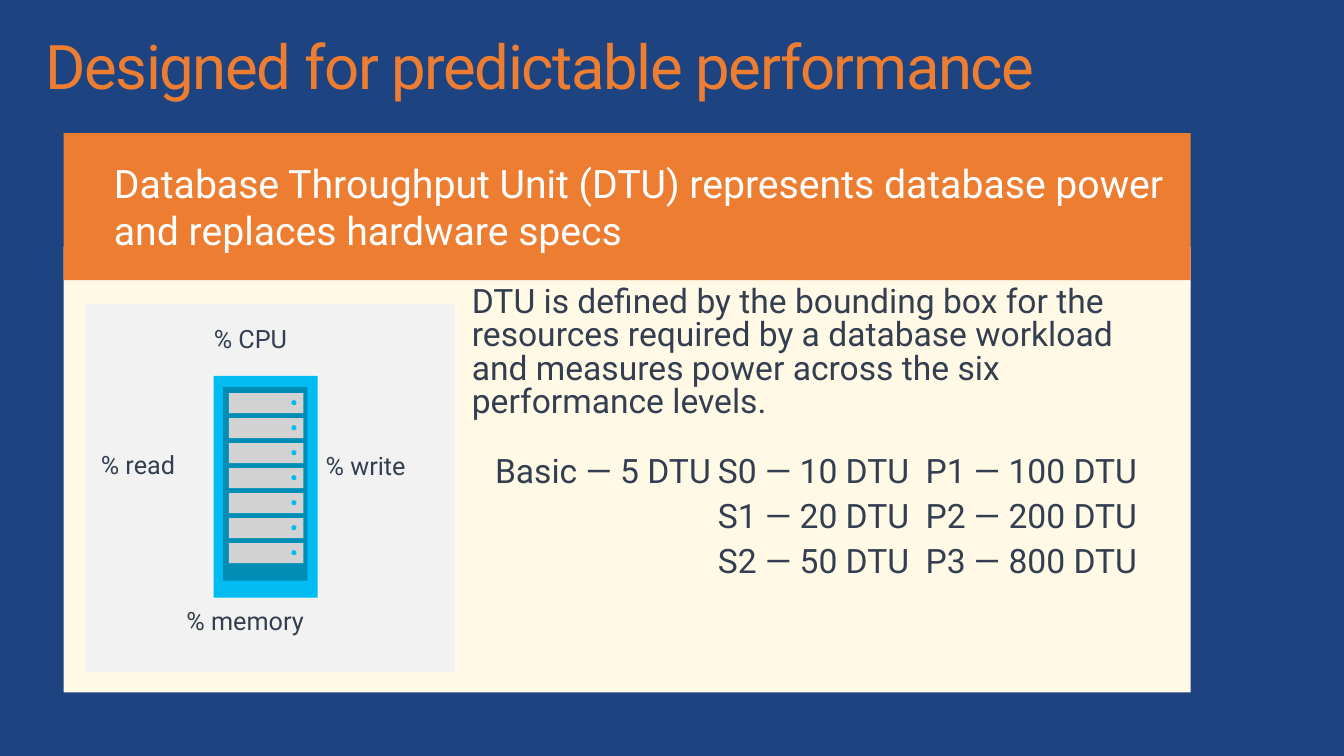
from pptx import Presentation
from pptx.dml.color import RGBColor
from pptx.enum.shapes import MSO_SHAPE
from pptx.enum.text import MSO_ANCHOR, PP_ALIGN
from pptx.util import Inches, Pt

RECTANGLE, OVAL = MSO_SHAPE.RECTANGLE, MSO_SHAPE.OVAL
MIDDLE, LEFT = MSO_ANCHOR.MIDDLE, PP_ALIGN.LEFT
NAVY = RGBColor(0x1D, 0x43, 0x80)
CREAM = RGBColor(0xFF, 0xF9, 0xE6)
ORANGE = RGBColor(0xED, 0x7D, 0x31)
WHITE = RGBColor(0xFF, 0xFF, 0xFF)
PALE_GREY = RGBColor(0xF2, 0xF2, 0xF2)
GREY = RGBColor(0xD2, 0xD2, 0xD2)
CYAN = RGBColor(0x00, 0xBC, 0xF2)
TEAL = RGBColor(0x00, 0x8D, 0xB5)
SLATE = RGBColor(0x33, 0x3F, 0x50)


def add_block(kind, left, top, width, height, color):
    block = page.shapes.add_shape(kind, Inches(left), Inches(top), Inches(width), Inches(height))
    block.shadow.inherit = False
    block.fill.solid()
    block.fill.fore_color.rgb = color
    block.line.fill.background()
    return block


def write(box, lines, size, color, insets, spacing=None, after=None):
    frame = box.text_frame
    frame.word_wrap = True
    frame.margin_left, frame.margin_top, frame.margin_right, frame.margin_bottom = map(Inches, insets)
    frame.text = "\n".join(lines)
    for para in frame.paragraphs:
        para.alignment = LEFT
        para.line_spacing = spacing
        para.space_after = after
        para.font.name = "Roboto"
        para.font.size = Pt(size)
        para.font.color.rgb = color
    return frame


deck = Presentation()
deck.slide_width, deck.slide_height = Inches(13.33), Inches(7.5)
page = deck.slides.add_slide(deck.slide_layouts[6])
page.background.fill.solid()
page.background.fill.fore_color.rgb = NAVY

add_block(RECTANGLE, 0.63, 2.45, 11.18, 4.42, CREAM)

title = page.shapes.add_textbox(Inches(0.29), Inches(0.05), Inches(12.75), Inches(0.98))
frame = write(title, ["Designed for predictable performance"], 44, ORANGE,
              (0.16, 0.1, 0.16, 0.1), Pt(61.8))
frame.paragraphs[0].runs[0].font._element.set("spc", "-100")

banner = add_block(RECTANGLE, 0.63, 1.32, 11.18, 1.46, ORANGE)
frame = write(banner, ["Database Throughput Unit (DTU) represents database power and replaces hardware specs"],
              28, WHITE, (0.5, 0.15, 0.2, 0.15))
frame.vertical_anchor = MIDDLE

add_block(RECTANGLE, 0.84, 3.02, 3.67, 3.65, PALE_GREY)
add_block(RECTANGLE, 2.12, 3.73, 1.03, 2.2, CYAN)
add_block(RECTANGLE, 2.21, 3.84, 0.84, 1.92, TEAL)
for drive in range(7):
    drive_top = 3.9 + drive * 0.248
    add_block(RECTANGLE, 2.27, drive_top, 0.74, 0.2, GREY)
    add_block(OVAL, 2.89, drive_top + 0.07, 0.05, 0.05, CYAN)

labels = [
    (1.92, 3.11, 1.42, 0.77, 18, ["% CPU"]),
    (0.8, 4.36, 1.44, 0.77, 18, ["% read"]),
    (3.03, 4.37, 1.49, 0.77, 18, ["% write"]),
    (1.65, 5.9, 1.97, 0.77, 18, ["% memory"]),
    (4.71, 4.35, 2.69, 0.69, 24, ["Basic — 5 DTU"]),
    (6.92, 4.35, 2.69, 1.58, 24, ["S0 — 10 DTU", "S1 — 20 DTU", "S2 — 50 DTU"]),
    (8.98, 4.35, 2.69, 1.58, 24, ["P1 — 100 DTU", "P2 — 200 DTU", "P3 — 800 DTU"]),
]
for left, top, width, height, size, lines in labels:
    label = page.shapes.add_textbox(Inches(left), Inches(top), Inches(width), Inches(height))
    write(label, lines, size, SLATE, (0.2, 0.16, 0.2, 0.16), 0.9, Pt(6))

definition = page.shapes.add_textbox(Inches(3.96), Inches(2.79), Inches(7.71), Inches(1.45))
write(definition, ["DTU is defined by the bounding box for the resources required by a database workload "
                   "and measures power across the six performance levels."],
      24, SLATE, (0.72, 0.05, 0.1, 0.05), Pt(24))

deck.save("out.pptx")
